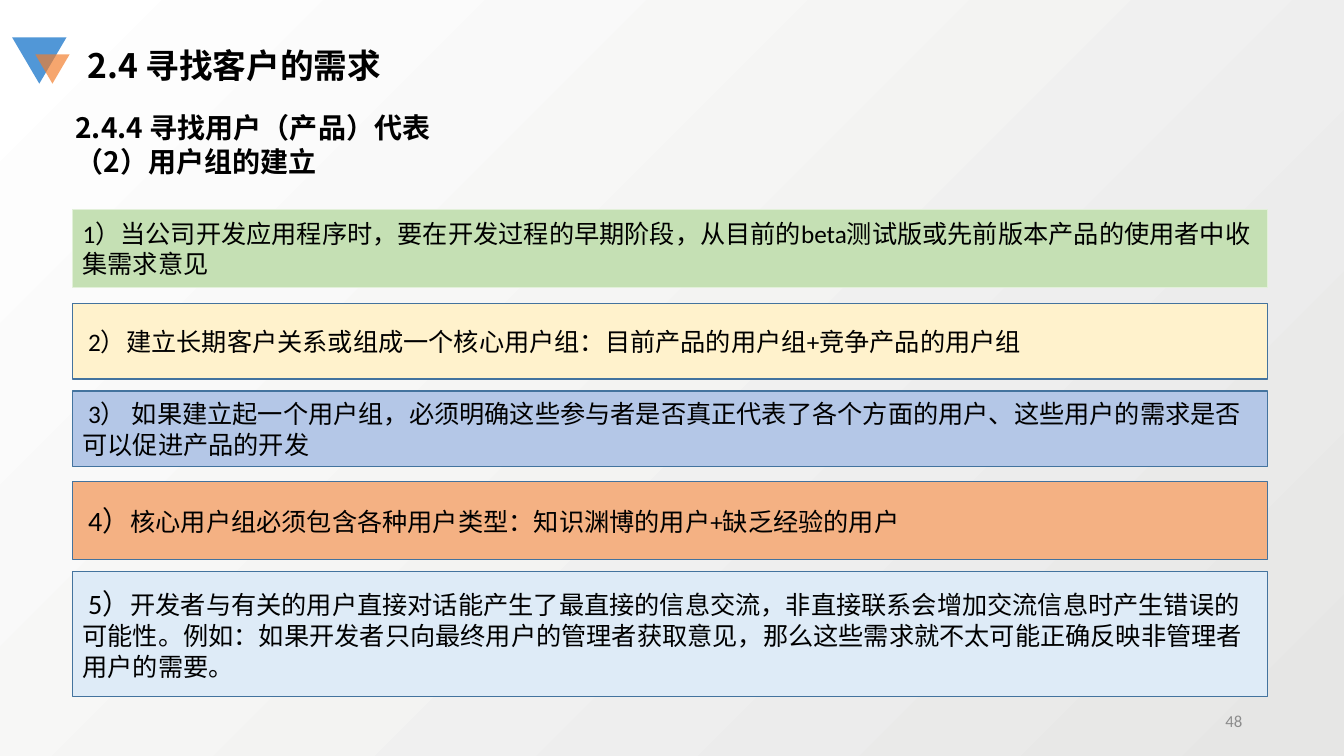
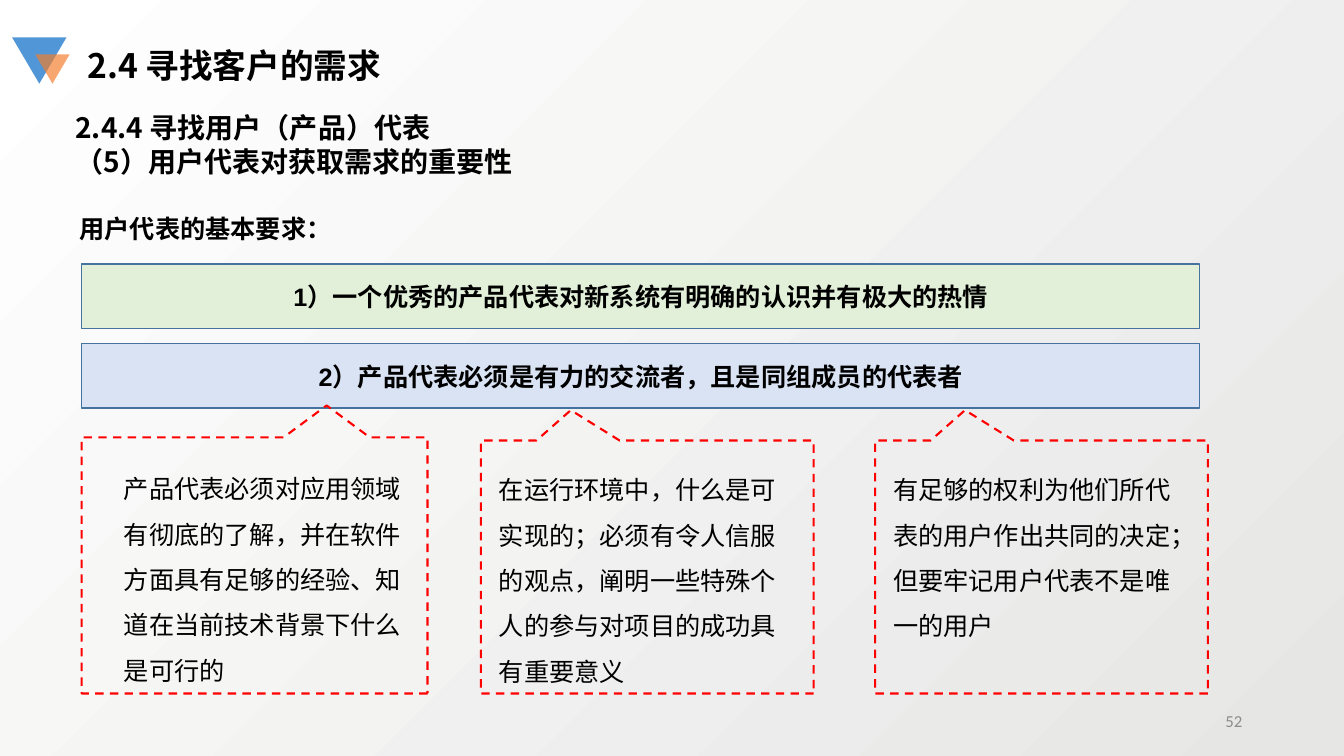
from dataclasses import dataclass

from lxml.etree import SubElement
from pptx import Presentation
from pptx.dml.color import RGBColor
from pptx.enum.dml import MSO_LINE
from pptx.enum.shapes import MSO_SHAPE
from pptx.enum.text import MSO_ANCHOR, PP_ALIGN
from pptx.oxml.ns import qn
from pptx.shapes.autoshape import Shape
from pptx.slide import Slide
from pptx.text.text import TextFrame
from pptx.util import Inches, Pt

HEX = {
    "black": "000000", "grey": "8C8C8C", "shade": "E6E6E5", "white": "FFFFFF",
    "edge": "43739E", "red": "FF0000", "blue": "5197D7", "orange": "F37D2A",
    "green": "C5E0B4", "mint": "E2F0D9", "cream": "FFF2CC", "steel": "B4C7E7",
    "peach": "F4B183", "ice": "DEEBF7", "haze": "DAE3F3",
}
HAN = "Noto Sans CJK SC"


@dataclass(frozen=True)
class Area:
    left: float
    top: float
    width: float
    height: float

    def emu(self) -> tuple[int, int, int, int]:
        return (Inches(self.left), Inches(self.top),
                Inches(self.width), Inches(self.height))


@dataclass(frozen=True)
class Style:
    font: str
    size: int = 18
    bold: bool = False
    color: str = "black"
    align: PP_ALIGN = PP_ALIGN.LEFT
    space: float = 1.0


@dataclass(frozen=True)
class Run:
    text: str
    size: int | None = None


@dataclass(frozen=True)
class Bar:
    area: Area
    fill: str
    runs: tuple[Run, ...]
    edge: str = "edge"


@dataclass(frozen=True)
class Callout:
    frame: Area
    words: Area
    text: str
    tip: tuple[float, float] | None = None


HEAD = Style(HAN, 24, True)
SUB = Style(HAN, 20, True)
LEAD = Style(HAN, bold=True)
PAGE = Style("Calibri", 12, color="grey", align=PP_ALIGN.RIGHT)
BODY = Style("Calibri")
CLAIM = Style("Arial", bold=True, align=PP_ALIGN.CENTER)
NOTE = Style("Arial", space=1.5)


def row(top: float, height: float) -> Area:
    return Area(0.72, top, 11.85, height)


def band(index: int) -> Area:
    return Area(0.81, 2.62 + 0.79 * index, 11.09, 0.64)


GROUP_BARS = (
    Bar(row(2.08, 0.77), "green", (
        Run("1）当公司开发应用程序时，要在开发过程的早期阶段，从目前的beta测试版或先前版本产品的使用者中收集需求意见"),), "mint"),
    Bar(row(3.01, 0.75), "cream", (
        Run(" 2）建立长期客户关系或组成一个核心用户组：目前产品的用户组+竞争产品的用户组"),)),
    Bar(row(3.88, 0.75), "steel", (
        Run(" 3） 如果建立起一个用户组，必须明确这些参与者是否真正代表了各个方面的用户、这些用户的需求是否可以促进产品的开发"),)),
    Bar(row(4.78, 0.77), "peach", (
        Run(" "), Run("4）", 20),
        Run("核心用户组必须包含各种用户类型：知识渊博的用户+缺乏经验的用户"))),
    Bar(row(5.67, 1.24), "ice", (
        Run(" "), Run("5）", 20),
        Run("开发者与有关的用户直接对话能产生了最直接的信息交流，非直接联系会增加交流信息时产生错误的可能性。例如：如果开发者只向最终用户的管理者获取意见，那么这些需求就不太可能正确反映非管理者用户的需要。"))),
)

CLAIM_BARS = (
    Bar(band(0), "mint", (Run("1）一个优秀的产品代表对新系统有明确的认识并有极大的热情"),)),
    Bar(band(1), "haze", (Run("2）产品代表必须是有力的交流者，且是同组成员的代表者"),)),
)

CALLOUTS = (
    Callout(Area(0.81, 4.34, 3.43, 2.54), Area(1.13, 4.5, 3.11, 2.3),
            "产品代表必须对应用领域有彻底的了解，并在软件方面具有足够的经验、知道在当前技术背景下什么是可行的"),
    Callout(Area(4.77, 4.37, 3.3, 2.51), Area(4.85, 4.51, 3.14, 2.32),
            "在运行环境中，什么是可实现的；必须有令人信服的观点，阐明一些特殊个人的参与对项目的成功具有重要意义",
            (0.23, 0.62)),
    Callout(Area(8.68, 4.37, 3.3, 2.51), Area(8.76, 4.51, 2.97, 1.87),
            "有足够的权利为他们所代表的用户作出共同的决定；但要牢记用户代表不是唯一的用户",
            (0.23, 0.62)),
)


def tint(name: str) -> RGBColor:
    return RGBColor.from_string(HEX[name])


def write(frame: TextFrame, lines: tuple[tuple[Run, ...], ...], style: Style) -> None:
    frame.word_wrap = True
    for index, runs in enumerate(lines):
        para = frame.add_paragraph() if index else frame.paragraphs[0]
        para.alignment = style.align
        para.line_spacing = style.space
        for item in runs:
            run = para.add_run()
            run.text = item.text
            font = run.font
            font.name = style.font
            font.size = Pt(item.size or style.size)
            font.bold = style.bold
            font.color.rgb = tint(style.color)
            SubElement(font._element, qn("a:ea"), typeface=HAN)


def label(slide: Slide, area: Area, style: Style, *texts: str,
          anchor: MSO_ANCHOR = MSO_ANCHOR.TOP) -> None:
    frame = slide.shapes.add_textbox(*area.emu()).text_frame
    frame.vertical_anchor = anchor
    write(frame, tuple((Run(text),) for text in texts), style)


def paint(shape: Shape, fill: str | None, edge: str | None = None,
          width: float = 1) -> None:
    shape.shadow.inherit = False
    if fill:
        shape.fill.solid()
        shape.fill.fore_color.rgb = tint(fill)
    else:
        shape.fill.background()
    if edge:
        shape.line.color.rgb = tint(edge)
        shape.line.width = Pt(width)
    else:
        shape.line.fill.background()


def draw_bar(slide: Slide, bar: Bar, style: Style) -> None:
    shape = slide.shapes.add_shape(MSO_SHAPE.RECTANGLE, *bar.area.emu())
    paint(shape, bar.fill, bar.edge)
    shape.text_frame.vertical_anchor = MSO_ANCHOR.MIDDLE
    write(shape.text_frame, (bar.runs,), style)


def draw_note(slide: Slide, note: Callout) -> None:
    shape = slide.shapes.add_shape(MSO_SHAPE.RECTANGULAR_CALLOUT, *note.frame.emu())
    paint(shape, None, "red", 1.5)
    shape.line.dash_style = MSO_LINE.DASH
    shape.rotation = 180
    if note.tip:
        shape.adjustments[0], shape.adjustments[1] = note.tip
    label(slide, note.words, NOTE, note.text)


def draw_mark(slide: Slide) -> None:
    group = slide.shapes.add_group_shape()
    for area, fill, alpha in (
        (Area(0.12, 0.37, 0.54, 0.46), "blue", 100),
        (Area(0.35, 0.54, 0.34, 0.29), "orange", 68),
    ):
        shape = group.shapes.add_shape(MSO_SHAPE.ISOSCELES_TRIANGLE, *area.emu())
        paint(shape, fill)
        shape.rotation = 180
        if alpha < 100:
            color = shape._element.spPr.find(qn("a:solidFill"))[0]
            SubElement(color, qn("a:alpha"), val=str(alpha * 1000))


def add_page(deck: Presentation, topic: str, page: int) -> Slide:
    slide = deck.slides.add_slide(deck.slide_layouts[6])
    draw_mark(slide)
    label(slide, Area(0.77, 0.4, 5.78, 0.5), HEAD, "2.4 寻找客户的需求")
    label(slide, Area(0.65, 1.05, 9.19, 0.77), SUB, "2.4.4 寻找用户（产品）代表", topic)
    label(slide, Area(9.42, 6.95, 3, 0.4), PAGE, str(page), anchor=MSO_ANCHOR.MIDDLE)
    return slide


def set_back(deck: Presentation) -> None:
    fill = deck.slide_master.background.fill
    fill.gradient()
    fill.gradient_angle = 135
    for stop, name, place in zip(fill.gradient_stops, ("shade", "white"), (0, 1)):
        stop.color.rgb = tint(name)
        stop.position = place


def main() -> None:
    deck = Presentation()
    deck.slide_width, deck.slide_height = Inches(13.33), Inches(7.5)
    set_back(deck)

    slide = add_page(deck, "（2）用户组的建立", 48)
    for bar in GROUP_BARS:
        draw_bar(slide, bar, BODY)

    slide = add_page(deck, "（5）用户代表对获取需求的重要性", 52)
    label(slide, Area(0.69, 2.07, 6.67, 0.4), LEAD, "用户代表的基本要求：")
    for bar in CLAIM_BARS:
        draw_bar(slide, bar, CLAIM)
    for note in CALLOUTS:
        draw_note(slide, note)

    deck.save("out.pptx")


if __name__ == "__main__":
    main()
